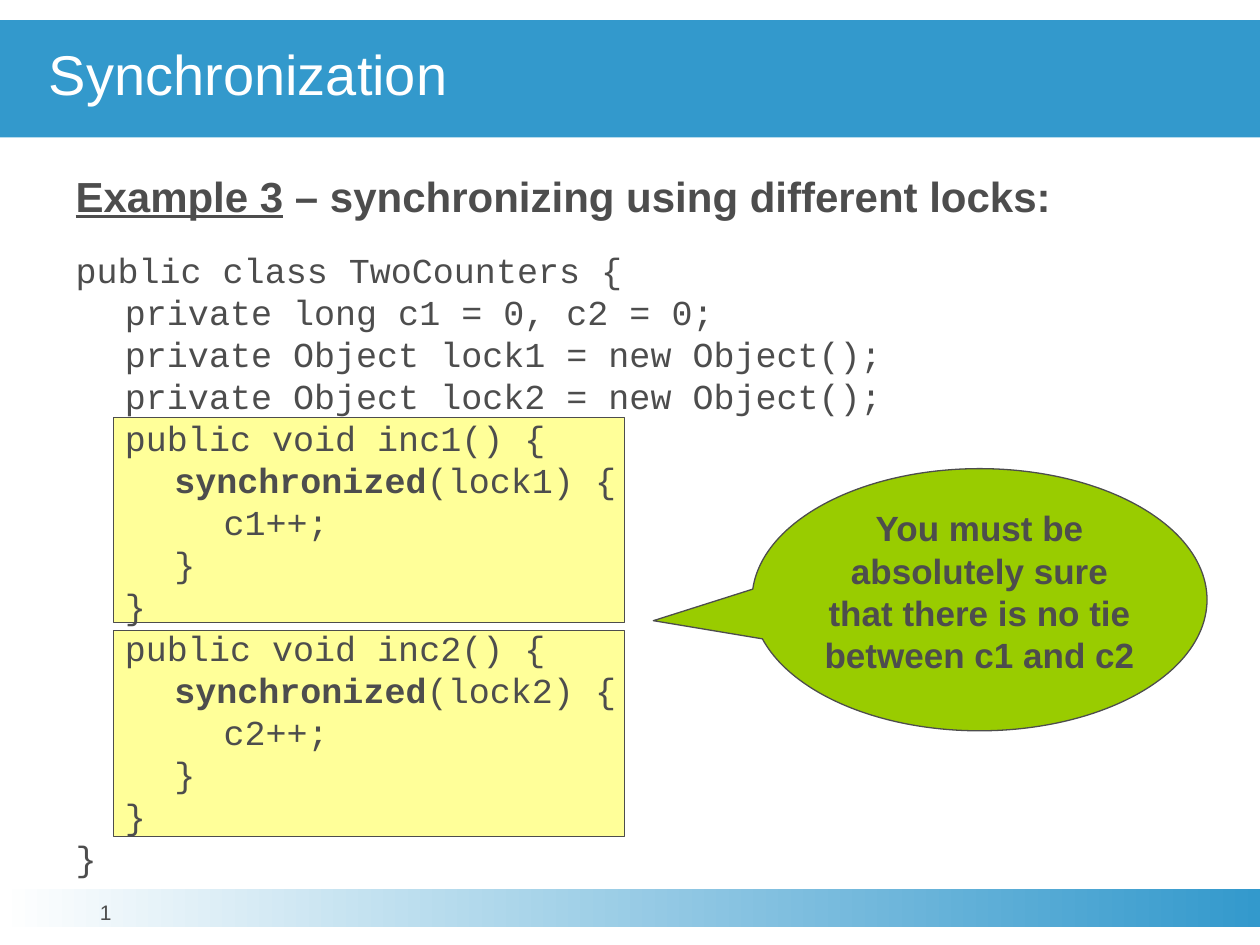
from lxml.etree import SubElement
from pptx import Presentation
from pptx.dml.color import RGBColor
from pptx.enum.shapes import MSO_SHAPE
from pptx.enum.text import MSO_ANCHOR, PP_ALIGN
from pptx.oxml.ns import qn
from pptx.util import Pt

BLUE = RGBColor(0x33, 0x99, 0xCC)
WHITE = RGBColor(0xFF, 0xFF, 0xFF)
GRAY = RGBColor(0x4D, 0x4D, 0x4D)
YELLOW = RGBColor(0xFF, 0xFF, 0x99)
GREEN = RGBColor(0x99, 0xCC, 0x00)

INDENT = 28.2
CODE_SPACING = Pt(24)

TITLE = {"name": "Arial", "size": Pt(32)}
HEADING = {"name": "Arial", "size": Pt(24), "bold": True}
CODE = {"name": "Courier New", "size": Pt(20)}
CALLOUT = {"name": "Arial", "size": Pt(20), "bold": True}
NUMBER = {"name": "Arial", "size": Pt(12)}


def counter_method(n):
    """Code lines, as (level, keyword, rest), of one locked increment."""
    return [
        (1, "", f"public void inc{n}() {{"),
        (2, "synchronized", f"(lock{n}) {{"),
        (3, "", f"c{n}++;"),
        (2, "", "}"),
        (1, "", "}"),
    ]


CODE_LINES = [
    (0, "", "public class TwoCounters {"),
    (1, "", "private long c1 = 0, c2 = 0;"),
    (1, "", "private Object lock1 = new Object();"),
    (1, "", "private Object lock2 = new Object();"),
    *counter_method(1),
    *counter_method(2),
    (0, "", "}"),
]


def set_attributes(target, values):
    for key, value in values.items():
        setattr(target, key, value)


def add_run(p, text, style, color=GRAY, **extra):
    r = p.add_run()
    r.text = text
    set_attributes(r.font, {**style, **extra})
    r.font.color.rgb = color


def indent(p, points):
    p._p.get_or_add_pPr().set("marL", str(Pt(points)))
    p._p.get_or_add_pPr().set("indent", "0")


def prepare_frame(sp, anchor=MSO_ANCHOR.TOP, margin=0):
    tf = sp.text_frame
    set_attributes(tf, {"word_wrap": True, "vertical_anchor": anchor})
    sides = ("left", "top", "right", "bottom")
    set_attributes(tf, {f"margin_{side}": Pt(margin) for side in sides})
    return tf


def add_shape(s, kind, box, fill=None, line=None):
    sp = s.shapes.add_shape(kind, *map(Pt, box))
    sp.shadow.inherit = False
    if fill is not None:
        sp.fill.solid()
        sp.fill.fore_color.rgb = fill
    if line is None:
        sp.line.fill.background()
    else:
        sp.line.color.rgb = line
        sp.line.width = Pt(0.75)
    return sp


def add_text_frame(s, box):
    return prepare_frame(s.shapes.add_textbox(*map(Pt, box)))


def add_footer(s):
    sp = add_shape(s, MSO_SHAPE.RECTANGLE, (0, 508.3, 720, 21.6))
    sp.fill.gradient()
    sp.fill.gradient_angle = 0
    for stop, color in zip(sp.fill.gradient_stops, (WHITE, BLUE)):
        stop.color.rgb = color
    p = add_text_frame(s, (22.3, 515.5, 76.3, 22.3)).paragraphs[0]
    set_attributes(p, {"alignment": PP_ALIGN.CENTER, "line_spacing": Pt(13)})
    # The slide number is a live field
    field = SubElement(p._p, qn("a:fld"), type="slidenum",
                       id="{B6F15528-21DE-4FAA-801E-634DDDAF4B2B}")
    add_run(p, "17", NUMBER)
    r = p.runs[0]._r
    field.extend(list(r))
    p._p.remove(r)


def add_title(s):
    sp = add_shape(s, MSO_SHAPE.RECTANGLE, (0, 11.5, 720, 67), BLUE)
    p = prepare_frame(sp, MSO_ANCHOR.MIDDLE).paragraphs[0]
    set_attributes(p, {"alignment": PP_ALIGN.LEFT, "line_spacing": 0.85})
    indent(p, 28)
    add_run(p, "Synchronization", TITLE, WHITE)


def add_heading(s):
    tf = add_text_frame(s, (43.2, 97.2, 633.6, 30))
    p = tf.paragraphs[0]
    add_run(p, "Example 3", HEADING, underline=True)
    add_run(p, " – synchronizing using different locks:", HEADING)


def add_code(s):
    tf = add_text_frame(s, (43.2, 141.8, 614, 360))
    for i, (level, keyword, rest) in enumerate(CODE_LINES):
        p = tf.add_paragraph() if i else tf.paragraphs[0]
        p.line_spacing = CODE_SPACING
        indent(p, level * INDENT)
        if keyword:
            add_run(p, keyword, CODE, bold=True)
        add_run(p, rest, CODE)


def add_callout(s):
    sp = add_shape(s, MSO_SHAPE.OVAL_CALLOUT, (429.8, 267.8, 260, 149.8),
                   GREEN, GRAY)
    sp.adjustments[0], sp.adjustments[1] = -0.717, 0.08
    p = prepare_frame(sp).paragraphs[0]
    set_attributes(p, {"alignment": PP_ALIGN.CENTER,
                       "line_spacing": CODE_SPACING})
    add_run(p, "You must be absolutely sure that there is no tie "
               "between c1 and c2", CALLOUT)


def main():
    prs = Presentation()
    prs.slide_width, prs.slide_height = Pt(720), Pt(540)
    s = prs.slides.add_slide(prs.slide_layouts[6])
    add_footer(s)
    for top in (238.5, 360.5):
        add_shape(s, MSO_SHAPE.RECTANGLE, (64.8, top, 292.3, 117.4),
                  YELLOW, GRAY)
    add_code(s)
    add_title(s)
    add_heading(s)
    add_callout(s)
    prs.save("out.pptx")


if __name__ == "__main__":
    main()
